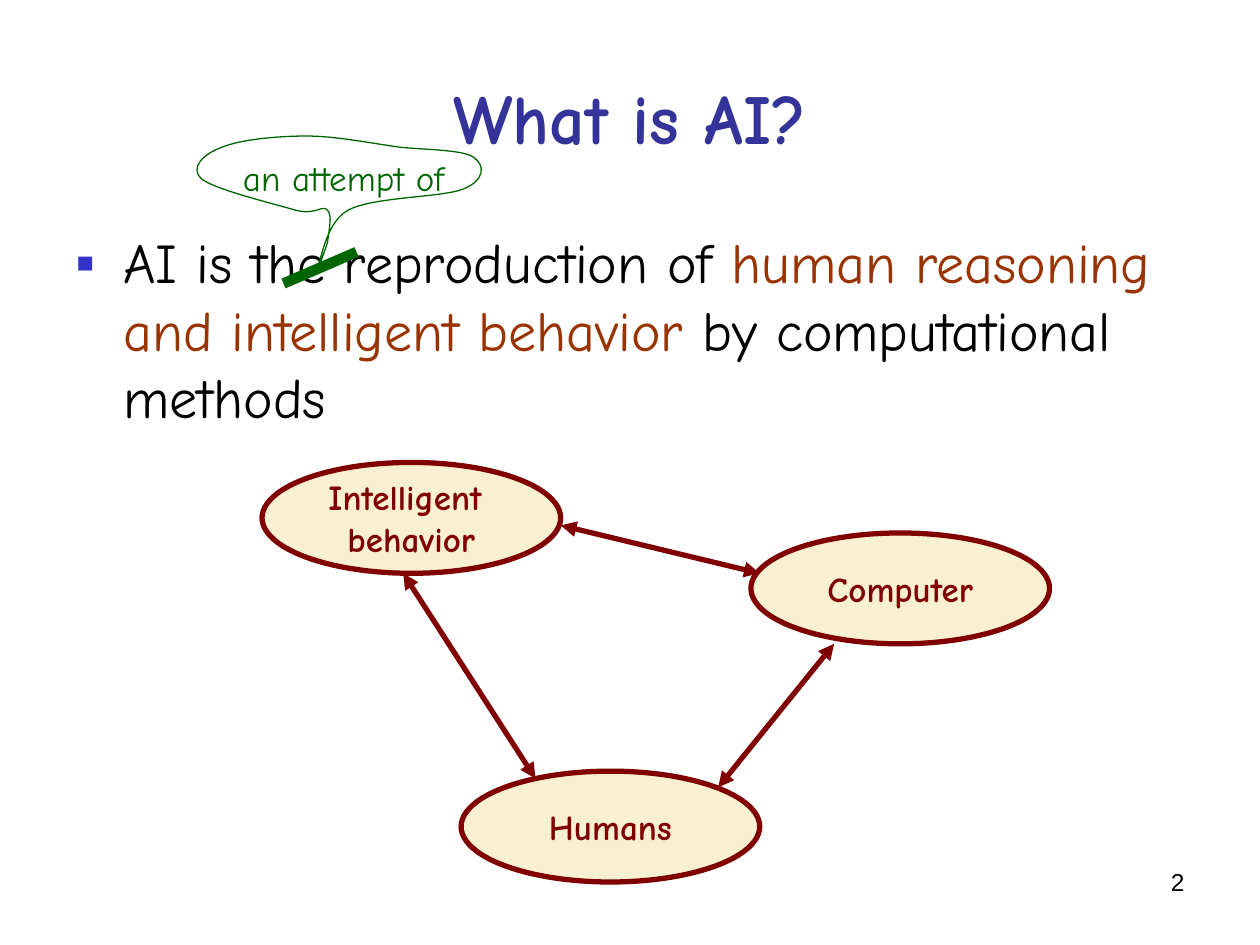
from lxml import etree
from pptx import Presentation
from pptx.dml.color import RGBColor
from pptx.enum import shapes as sh, text as tx
from pptx.oxml.ns import qn
from pptx.util import Inches, Pt

BLACK = RGBColor(0, 0, 0)
NAVY = RGBColor(0x33, 0x33, 0x99)
BROWN = RGBColor(0x99, 0x33, 0x00)
MAROON = RGBColor(0x80, 0, 0)
CREAM = RGBColor(0xF8, 0xF0, 0xD0)
GREEN = RGBColor(0, 0x66, 0)
HAND = "Comic Neue"
MID = tx.PP_ALIGN.CENTER


def style(run, size, color, bold=False, face=HAND):
    font = run.font
    font.name, font.size, font.bold = face, Pt(size), bold
    font.color.rgb = color


def label(slide, box, words, size, color, align=None, bold=False, face=HAND):
    shape = slide.shapes.add_textbox(*map(Inches, box))
    frame = shape.text_frame
    frame.word_wrap = True
    frame.text = words
    para = frame.paragraphs[0]
    para.alignment = align
    style(para.runs[0], size, color, bold, face)
    return frame


def bullet(para, mark, color):
    props = para._p.get_or_add_pPr()
    props.set("marL", str(Inches(0.38)))
    props.set("indent", str(Inches(-0.38)))
    tint = etree.SubElement(props, qn("a:buClr"))
    etree.SubElement(tint, qn("a:srgbClr")).set("val", color)
    etree.SubElement(props, qn("a:buFont")).set("typeface", "Arial")
    etree.SubElement(props, qn("a:buChar")).set("char", mark)


def body(slide, box):
    parts = [
        ("AI is the reproduction of ", BLACK),
        ("human reasoning and intelligent behavior ", BROWN),
        ("by computational methods", BLACK),
    ]
    frame = label(slide, box, parts[0][0], 32, BLACK)
    para = frame.paragraphs[0]
    for words, color in parts[1:]:
        run = para.add_run()
        run.text = words
        style(run, 32, color)
    bullet(para, "▪", "3333CC")


def line(slide, start, end, color, width, arrows=False):
    link = slide.shapes.add_connector(
        sh.MSO_CONNECTOR.STRAIGHT, *map(Inches, (*start, *end)))
    link.line.color.rgb = color
    link.line.width = Pt(width)
    props = link._element.spPr
    if arrows:
        for tip in ("a:headEnd", "a:tailEnd"):
            etree.SubElement(props.get_or_add_ln(), qn(tip)).set("type", "triangle")
    etree.SubElement(props, qn("a:effectLst"))


def oval(slide, box, words):
    shape = slide.shapes.add_shape(sh.MSO_SHAPE.OVAL, *map(Inches, box))
    shape.shadow.inherit = False
    shape.fill.solid()
    shape.fill.fore_color.rgb = CREAM
    shape.line.color.rgb = MAROON
    shape.line.width = Pt(3)
    frame = shape.text_frame
    frame.text = words
    frame.word_wrap = False
    frame.vertical_anchor = tx.MSO_ANCHOR.MIDDLE
    for para in frame.paragraphs:
        para.alignment = MID
        style(para.runs[0], 20, MAROON, True)


def diagram(slide, left, top):
    nodes = [
        (0, 0, "Intelligent \nbehavior"),
        (1.58, 2.45, "Humans"),
        (3.88, 0.56, "Computer"),
    ]
    links = [
        ((1.12, 0.88), (2.17, 2.51)),
        ((3.62, 2.58), (4.54, 1.44)),
        ((2.37, 0.5), (3.95, 0.88)),
    ]
    for x, y, words in nodes:
        oval(slide, (left + x, top + y, 2.37, 0.88), words)
    for ends in links:
        start, end = [(left + x, top + y) for x, y in ends]
        line(slide, start, end, MAROON, 3, True)


def bend(shape):
    """Turn each three straight segments into one cubic Bezier curve."""
    segs = list(shape._element.iter(qn("a:lnTo")))
    for i in range(0, len(segs), 3):
        cubic = etree.Element(qn("a:cubicBezTo"))
        segs[i].addprevious(cubic)
        for seg in segs[i:i + 3]:
            cubic.append(seg[0])
            seg.getparent().remove(seg)


def bubble(slide, left, top):
    """Speech bubble with its words and the stroke that crosses out a word."""
    label(slide, (left + 0.33, top + 0.11, 1.99, 0.43), "an attempt of", 20, GREEN)
    # Hundredths of an inch: two control points and an end point per curve
    start = (93, 0)
    knots = [
        (69, 0), (40, 3), (26, 9),
        (12, 14), (0, 25), (10, 34),
        (19, 42), (68, 54), (85, 59),
        (101, 63), (106, 54), (110, 59),
        (114, 63), (111, 75), (110, 84),
        (108, 92), (99, 113), (101, 109),
        (104, 104), (107, 70), (126, 59),
        (146, 48), (201, 49), (218, 42),
        (235, 35), (235, 23), (226, 17),
        (218, 11), (190, 11), (168, 9),
        (146, 6), (117, 0), start,
    ]
    pen = slide.shapes.build_freeform(*start, scale=Inches(0.01))
    pen.add_line_segments(knots, close=True)
    shape = pen.convert_to_shape(Inches(left), Inches(top))
    bend(shape)
    shape.shadow.inherit = False
    shape.fill.background()
    shape.line.color.rgb = GREEN
    shape.line.width = Pt(0.75)
    line(slide, (left + 0.75, top + 1.17), (left + 1.33, top + 0.92), GREEN, 6)


def main():
    deck = Presentation()
    deck.slide_width, deck.slide_height = Inches(10), Inches(7.5)
    slide = deck.slides.add_slide(deck.slide_layouts[6])
    label(slide, (7.17, 6.83, 2.33, 0.52), "2", 14, BLACK,
          tx.PP_ALIGN.RIGHT, face="Arial")
    body(slide, (0.5, 1.76, 9, 4.69))
    diagram(slide, 2.08, 3.67)
    title = label(slide, (0.5, 0.3, 9, 1.25), "What is AI?", 40, NAVY, MID, True)
    title.vertical_anchor = tx.MSO_ANCHOR.MIDDLE
    bubble(slide, 1.5, 1.08)
    deck.save("out.pptx")


if __name__ == "__main__":
    main()
